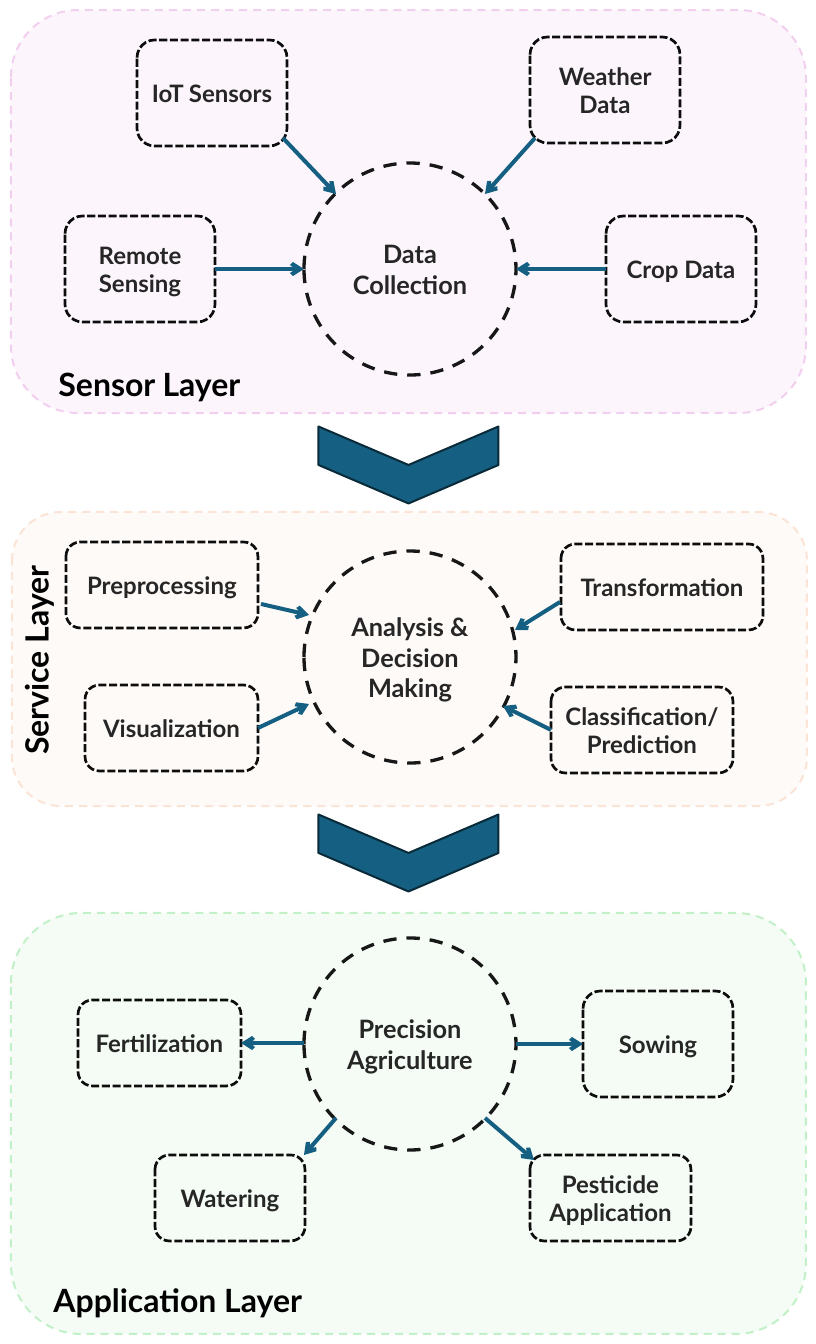
from lxml import etree
from pptx import Presentation
from pptx.dml.color import RGBColor
from pptx.enum.dml import MSO_LINE
from pptx.enum.shapes import MSO_CONNECTOR, MSO_SHAPE
from pptx.enum.text import MSO_ANCHOR, PP_ALIGN
from pptx.oxml.ns import qn
from pptx.util import Pt

PX = 9525
ROUNDED, CIRCLE, CHEVRON = (
    MSO_SHAPE.ROUNDED_RECTANGLE, MSO_SHAPE.OVAL, MSO_SHAPE.CHEVRON)
DASH, SHORT_DASH = MSO_LINE.DASH, MSO_LINE.SQUARE_DOT
STRAIGHT = MSO_CONNECTOR.STRAIGHT
LEFT, CENTER = PP_ALIGN.LEFT, PP_ALIGN.CENTER
MIDDLE = MSO_ANCHOR.MIDDLE
LEFT_SIDE, RIGHT_SIDE = 1, 3
BLUE, INK = "156082", "262626"
HUB_SIZE = 212

# Boxes and points of hub, label and nodes are relative to the layer's box.
# Node: text, box, point at the hub, point at the node (or its glued side).
LAYERS = [
    {"box": (11, 10, 795, 403), "color": "F2CFEE", "inward": True,
     "hub": ("Data Collection", 293, 153),
     "label": ("Sensor Layer", (38, 350, 211, 48), 0, LEFT),
     "nodes": [
         ("IoT Sensors", (126, 30, 150, 106), (325, 184), (272, 128)),
         ("Weather Data", (519, 27, 150, 106), (474, 184), (524, 128)),
         ("Remote Sensing", (54, 206, 150, 106), (293, 259), RIGHT_SIDE),
         ("Crop Data", (595, 206, 150, 106), (505, 259), LEFT_SIDE)]},
    {"box": (12, 512, 795, 294), "color": "FBE3D6", "inward": True,
     "hub": ("Analysis & Decision Making", 292, 39),
     "label": ("Service Layer", (-113, 124, 274, 48), 270, CENTER),
     "nodes": [
         ("Preprocessing", (54, 30, 192, 86), (297, 103), (249, 92)),
         ("Transformation", (549, 32, 202, 86), (503, 118), (548, 90)),
         ("Visualization", (73, 173, 173, 86), (297, 192), RIGHT_SIDE),
         ("Classification/Prediction", (539, 175, 182, 86), (491, 194),
          LEFT_SIDE)]},
    {"box": (11, 913, 795, 421), "color": "C2F1C8", "inward": False,
     "hub": ("Precision Agriculture", 293, 25),
     "label": ("Application Layer", (33, 363, 274, 48), 0, LEFT),
     "nodes": [
         ("Fertilization", (67, 87, 163, 86), (293, 130), RIGHT_SIDE),
         ("Sowing", (572, 78, 150, 106), (505, 131), LEFT_SIDE),
         ("Watering", (144, 242, 150, 86), (325, 205), (293, 242)),
         ("Pesticide Application", (519, 242, 161, 86), (474, 205),
          (523, 247))]},
]
CHEVRON_BOXES = [(370, 375, 77, 180), (370, 763, 77, 180)]


def rgb(color):
    return RGBColor.from_string(color)


def emu(lengths):
    return [length * PX for length in lengths]


def add_shape(page, kind, box, line, width, dash=None, fill=None):
    shape = page.shapes.add_shape(kind, *emu(box))
    shape.shadow.inherit = False
    if fill:
        shape.fill.solid()
        shape.fill.fore_color.rgb = rgb(fill)
    else:
        shape.fill.background()
    shape.line.color.rgb = rgb(line)
    shape.line.width = Pt(width)
    if dash:
        shape.line.dash_style = dash
    return shape


def write(shape, text, size, color, align=CENTER):
    frame = shape.text_frame
    frame.word_wrap = True
    para = frame.paragraphs[0]
    para.alignment = align
    span = para.add_run()
    span.text = text
    for name, value in {"name": "Lato", "size": Pt(size), "bold": True}.items():
        setattr(span.font, name, value)
    span.font.color.rgb = rgb(color)


def add_labelled(page, kind, box, text, size, line, width, dash):
    shape = add_shape(page, kind, box, line, width, dash)
    write(shape, text, size, INK)
    shape.text_frame.vertical_anchor = MIDDLE
    return shape


def add_arrow(page, hub_point, node_point, node, inward):
    """Joins hub and node; the head is at the hub when inward."""
    glued = isinstance(node_point, int)
    node_end = hub_point if glued else node_point
    start, end = (node_end, hub_point) if inward else (hub_point, node_end)
    arrow = page.shapes.add_connector(STRAIGHT, *emu(start), *emu(end))
    if glued:
        connect = arrow.begin_connect if inward else arrow.end_connect
        connect(node, node_point)
    arrow.line.color.rgb = rgb(BLUE)
    arrow.line.width = Pt(3)
    properties = arrow.line._get_or_add_ln()
    etree.SubElement(properties, qn("a:tailEnd"), type="arrow")
    etree.SubElement(arrow._element.spPr, qn("a:effectLst"))


def add_layer(page, box, color, inward, hub, label, nodes):
    left, top = box[:2]

    def place(x, y, *size):
        return (left + x, top + y, *size)

    panel = add_shape(page, ROUNDED, box, color, 1.5, DASH, color)
    tint = panel._element.spPr.find(qn("a:solidFill"))[0]
    etree.SubElement(tint, qn("a:alpha"), val="17000")

    text, x, y = hub
    add_labelled(page, CIRCLE, place(x, y, HUB_SIZE, HUB_SIZE), text, 19,
                 "171717", 2.5, DASH)

    for text, node_box, hub_point, node_point in nodes:
        node = add_labelled(page, ROUNDED, place(*node_box), text, 18,
                            "0D0D0D", 2, SHORT_DASH)
        if not isinstance(node_point, int):
            node_point = place(*node_point)
        add_arrow(page, place(*hub_point), node_point, node, inward)

    text, label_box, rotation, align = label
    caption = page.shapes.add_textbox(*emu(place(*label_box)))
    caption.rotation = rotation
    write(caption, text, 24, "000000", align)


def add_chevron(page, box):
    chevron = add_shape(page, CHEVRON, box, "092A39", 1.5, fill=BLUE)
    chevron.rotation = 90


def main():
    deck = Presentation()
    deck.slide_width, deck.slide_height = emu((816, 1344))
    page = deck.slides.add_slide(deck.slide_layouts[6])
    for layer in LAYERS:
        add_layer(page, **layer)
    for box in CHEVRON_BOXES:
        add_chevron(page, box)
    deck.save("out.pptx")


if __name__ == "__main__":
    main()
